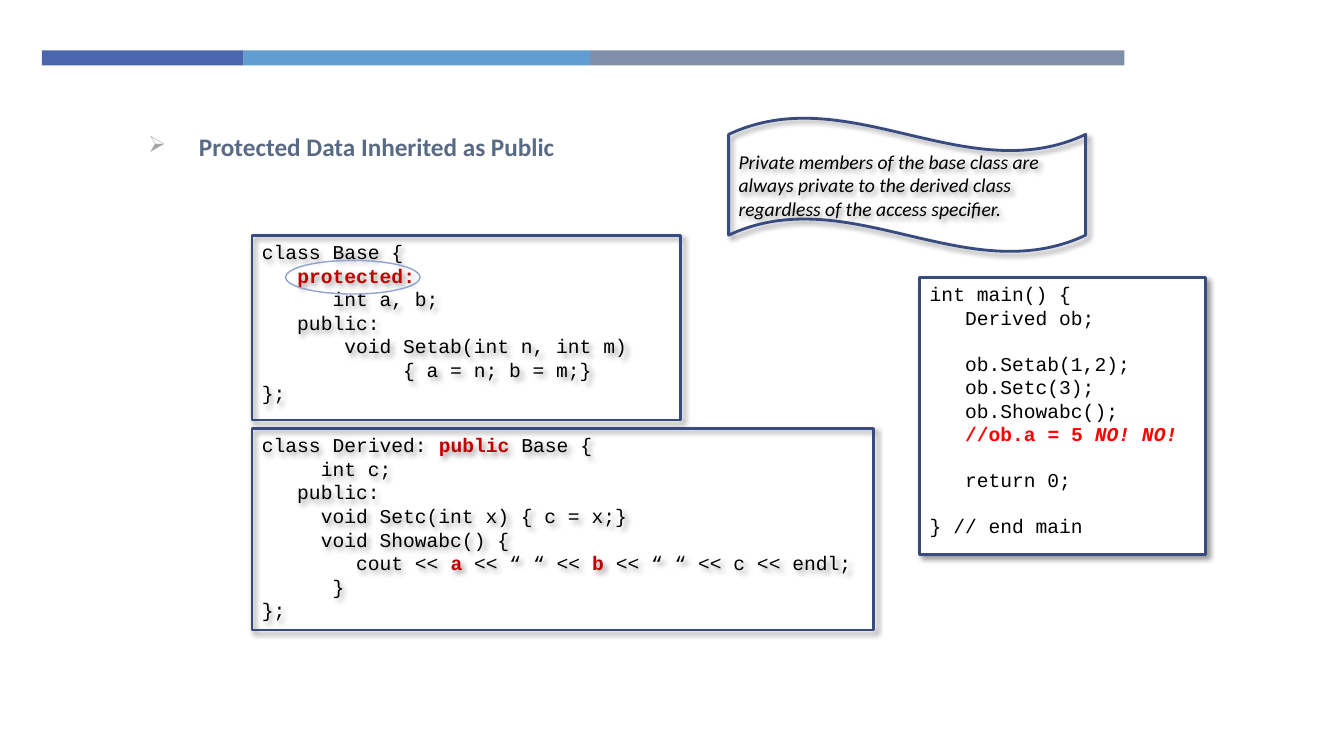
from lxml import etree
from pptx import Presentation
from pptx import util as u
from pptx.dml import color
from pptx.enum import shapes, text
from pptx.oxml import ns

COLORS = {
    "bar_blue": "4A66AC", "bar_sky": "629DD1", "bar_slate": "7F8FA9",
    "heading": "596A85", "bullet": "A6A6A6", "frame": "374B7F",
    "ring": "90A2CF", "code": "000000", "keyword": "C00000",
    "warning": "FF0000", "paper": "FFFFFF",
}
COLUMNS, ROWS = 160, 90
CELL = u.Inches(1) / 12
LINE_HEIGHT = 16


def keyword(words):
    return words, "keyword", True, False


def warning(words, italic=False):
    return words, "warning", True, italic


class ClassSlide:
    code_font, prose_font = "Courier New", "Calibri"
    body_size = 14

    def __init__(self, deck):
        deck.slide_width = u.Emu(int(COLUMNS * CELL))
        deck.slide_height = u.Emu(int(ROWS * CELL))
        self.slide = deck.slides.add_slide(deck.slide_layouts[6])

    def rgb(self, name):
        return color.RGBColor.from_string(COLORS[name])

    def place(self, area):
        return [u.Emu(round(cells * CELL)) for cells in area]

    def outline(self, kind, area, fill=None, line=None, weight=2):
        figure = self.slide.shapes.add_shape(kind, *self.place(area))
        figure.shadow.inherit = False
        if fill:
            figure.fill.solid()
            figure.fill.fore_color.rgb = self.rgb(fill)
        else:
            figure.fill.background()
        if line:
            figure.line.color.rgb = self.rgb(line)
            figure.line.width = u.Pt(weight)
        else:
            figure.line.fill.background()
        return figure

    def cast_shadow(self, figure):
        effects = figure._element.spPr.find(ns.qn("a:effectLst"))
        shadow = etree.SubElement(
            effects, ns.qn("a:outerShdw"), blurRad=str(u.Pt(4)),
            dist=str(u.Pt(3)), dir=str(45 * 60000), algn="tl", rotWithShape="0")
        tint = etree.SubElement(shadow, ns.qn("a:srgbClr"), val=COLORS["code"])
        etree.SubElement(tint, ns.qn("a:alpha"), val="40000")

    def add_words(self, paragraph, words, font, size, tone, bold=False, italic=False):
        run = paragraph.add_run()
        run.text = words
        run.font.name, run.font.size = font, u.Pt(size)
        run.font.bold, run.font.italic = bold, italic
        run.font.color.rgb = self.rgb(tone)

    def framed(self, kind, area, fill, anchor):
        figure = self.outline(kind, area, fill, "frame")
        self.cast_shadow(figure)
        frame = figure.text_frame
        frame.word_wrap = True
        frame.vertical_anchor = anchor
        frame.paragraphs[0].alignment = text.PP_ALIGN.LEFT
        return frame

    def code(self, area, lines, fill=None):
        frame = self.framed(shapes.MSO_SHAPE.RECTANGLE, area, fill,
                            text.MSO_ANCHOR.TOP)
        paragraph, gap = frame.paragraphs[0], 0
        for number, line in enumerate(lines):
            if not line:
                gap += LINE_HEIGHT
                continue
            if number:
                paragraph = frame.add_paragraph()
                paragraph.alignment = text.PP_ALIGN.LEFT
            if gap:
                paragraph.space_before, gap = u.Pt(gap), 0
            for part in [line] if isinstance(line, str) else line:
                words, *look = (part, "code") if isinstance(part, str) else part
                self.add_words(paragraph, words, self.code_font, self.body_size, *look)

    def note(self, area, words):
        frame = self.framed(shapes.MSO_SHAPE.WAVE, area, None,
                            text.MSO_ANCHOR.MIDDLE)
        self.add_words(frame.paragraphs[0], words, self.prose_font, self.body_size,
                       "code", italic=True)

    def heading(self, area, words):
        frame = self.slide.shapes.add_textbox(*self.place(area)).text_frame
        frame.word_wrap = True
        topic = frame.paragraphs[0]
        layout = topic._p.get_or_add_pPr()
        layout.set("marL", str(u.Inches(0.5)))
        layout.set("indent", str(-u.Inches(0.5)))
        tint = etree.SubElement(layout, ns.qn("a:buClr"))
        etree.SubElement(tint, ns.qn("a:srgbClr"), val=COLORS["bullet"])
        etree.SubElement(layout, ns.qn("a:buSzPct"), val="90000")
        etree.SubElement(layout, ns.qn("a:buChar"), char="➢")
        self.add_words(topic, words, self.prose_font, 18, "heading", bold=True)

    def banner(self, left, top, height, bands):
        for tone, width in bands:
            self.outline(shapes.MSO_SHAPE.RECTANGLE, (left, top, width, height), tone)
            left += width


def main():
    deck = Presentation()
    page = ClassSlide(deck)
    page.banner(5, 6, 1.8, [("bar_blue", 24), ("bar_sky", 41.25),
                            ("bar_slate", 63.6)])
    page.heading((16.5, 15.1, 123.8, 52.4), "Protected Data Inherited as Public")
    page.code((30, 28, 51, 22), [
        "class Base {",
        ["   ", keyword("protected:")],
        "      int a, b;",
        "   public:",
        "       void Setab(int n, int m)",
        "            { a = n; b = m;}",
        "};",
    ])
    page.code((30, 51, 74, 24), [
        ["class Derived: ", keyword("public "), "Base {"],
        "     int c;",
        "   public:",
        "     void Setc(int x) { c = x;}",
        "     void Showabc() {",
        ["        cout << ", keyword("a"), " << “ “ << ", keyword("b"),
         " << “ “ << c << endl;"],
        "      }",
        "};",
    ])
    page.code((109.5, 33, 34, 33), [
        "int main() {",
        "   Derived ob;",
        "",
        "   ob.Setab(1,2);",
        "   ob.Setc(3);",
        "   ob.Showabc();",
        ["   ", warning("//ob.a = 5 "), warning("NO! NO!", italic=True)],
        "",
        "   return 0;",
        "",
        "} // end main",
    ], fill="paper")
    page.outline(shapes.MSO_SHAPE.OVAL, (34, 31, 16, 4), line="ring", weight=1)
    page.note((86.75, 14, 42.5, 16),
              "Private members of the base class are always private to the "
              "derived class regardless of the access specifier.")
    deck.save("out.pptx")


if __name__ == "__main__":
    main()
